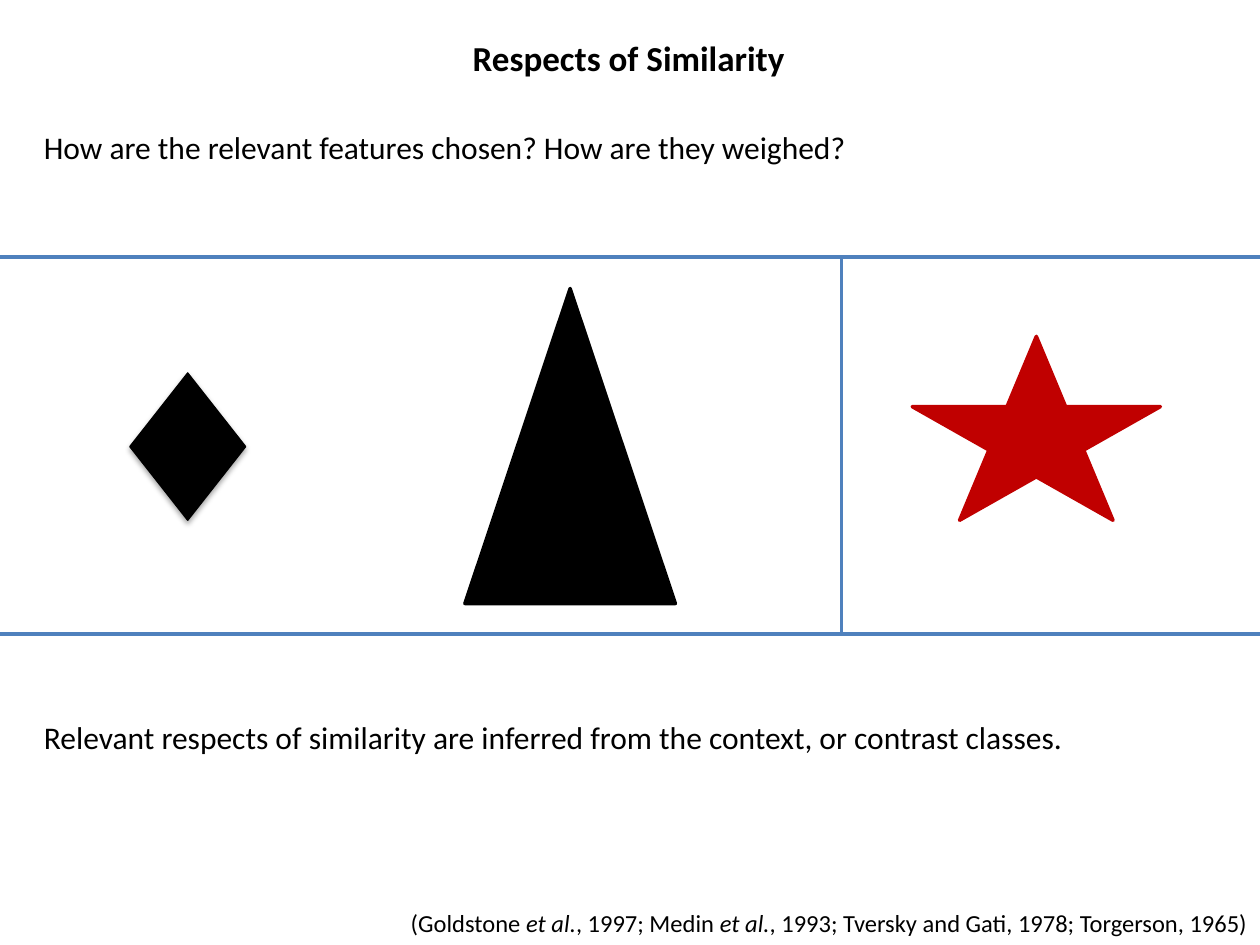
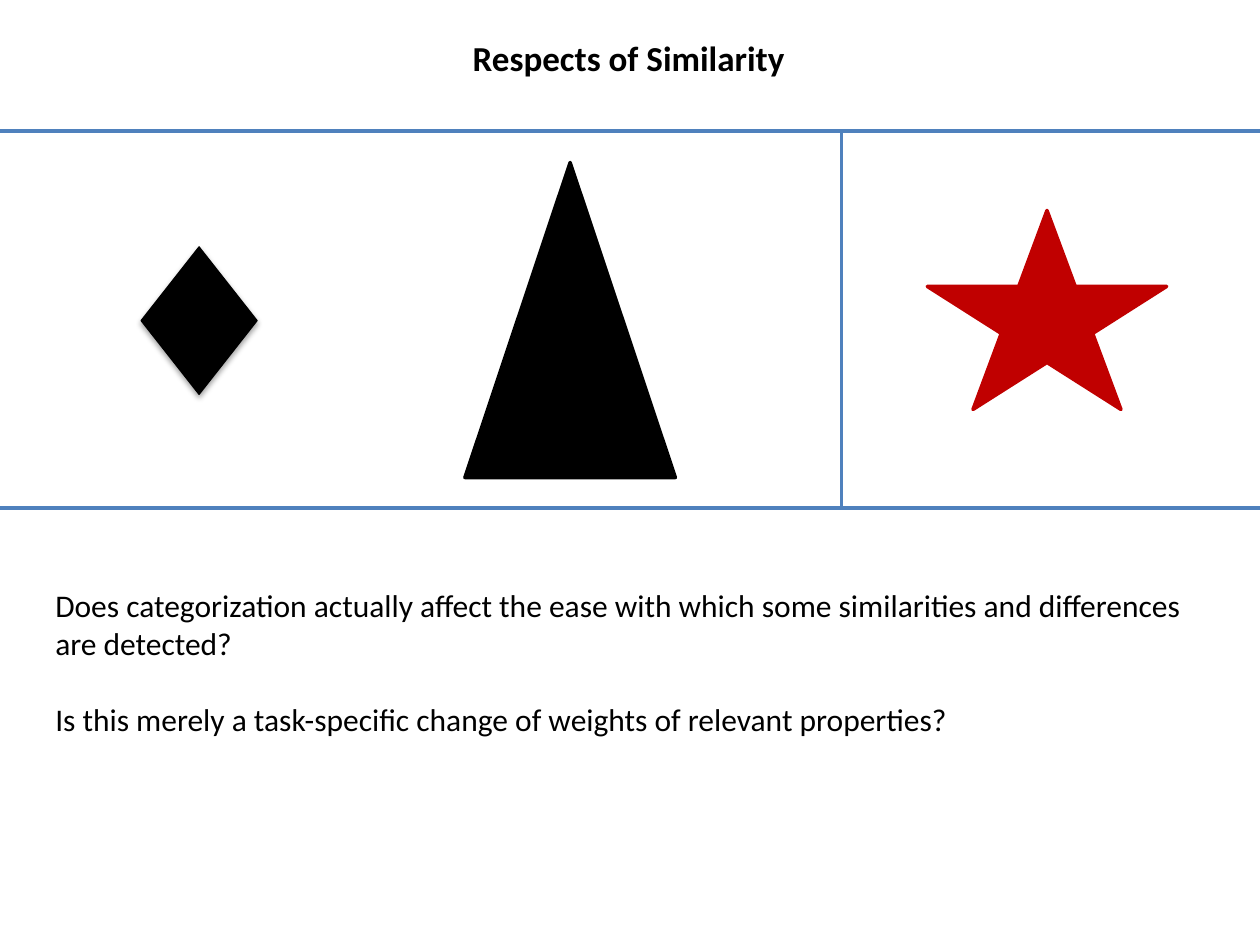
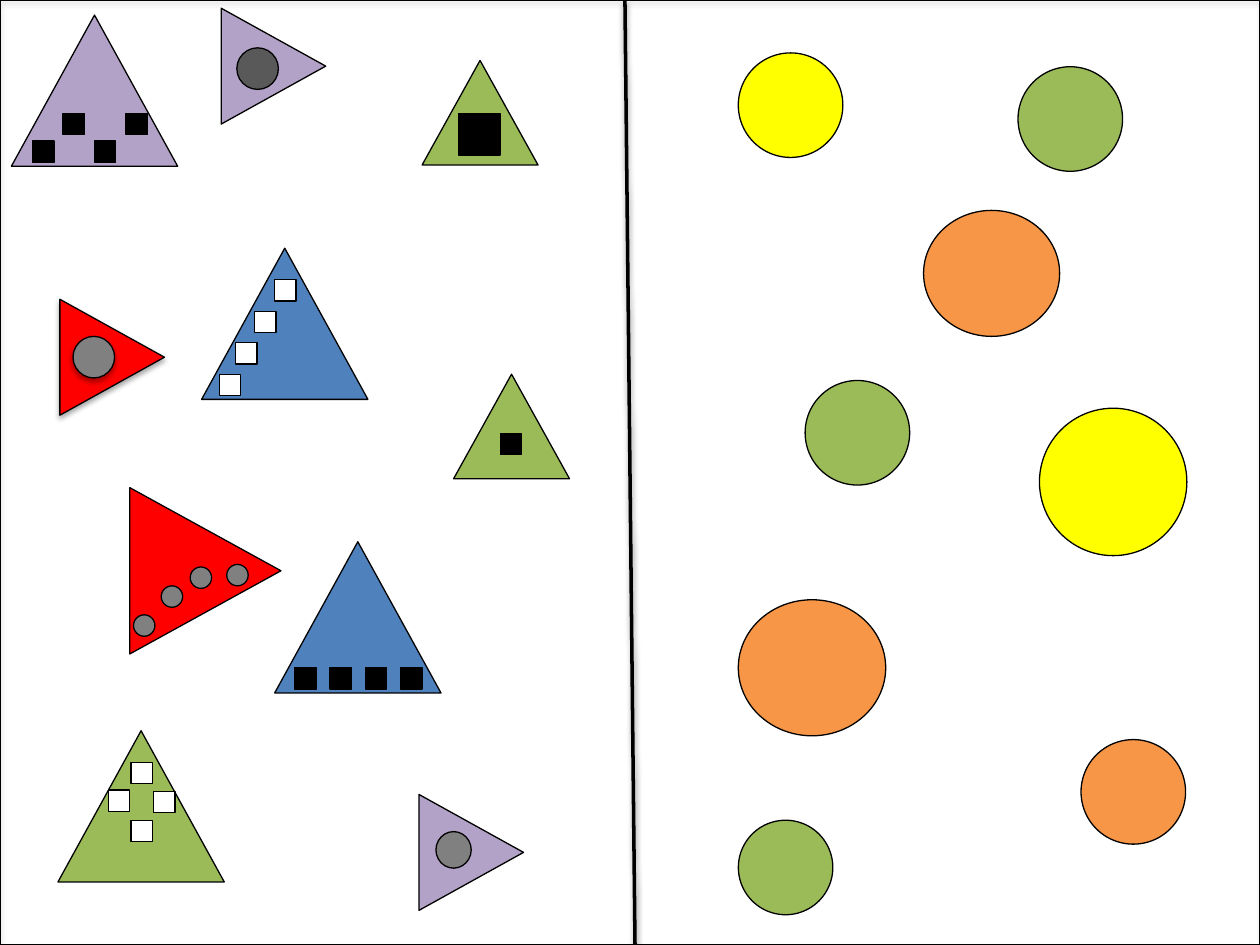
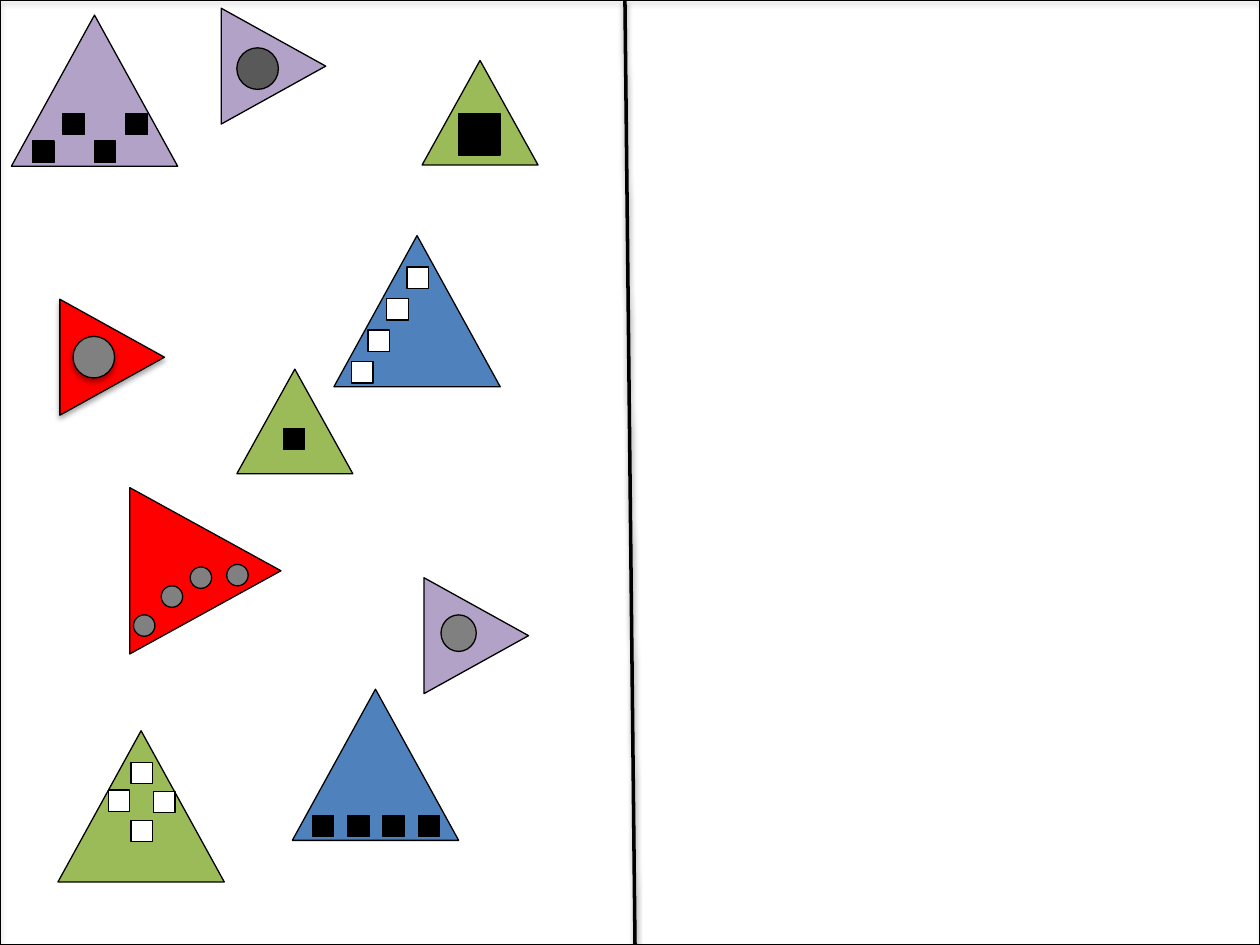
from typing import NamedTuple

from lxml import etree
from pptx import Presentation
from pptx.dml.color import RGBColor
from pptx.enum.shapes import MSO_CONNECTOR, MSO_SHAPE
from pptx.enum.text import MSO_AUTO_SIZE, PP_ALIGN
from pptx.oxml.ns import qn
from pptx.util import Emu, Pt

PX = 9144
WIDTH, HEIGHT = 1000, 750
FONT = "Calibri"
BODY_SIZE, TITLE_SIZE, CITE_SIZE = 18, 20, 14
THIN, THICK = 0.75, 2

STRAIGHT = MSO_CONNECTOR.STRAIGHT
TRIANGLE, DIAMOND, STAR = MSO_SHAPE.ISOSCELES_TRIANGLE, MSO_SHAPE.DIAMOND, MSO_SHAPE.STAR_5_POINT
OVAL, RECT = MSO_SHAPE.OVAL, MSO_SHAPE.RECTANGLE
LEFT, CENTER, RIGHT = PP_ALIGN.LEFT, PP_ALIGN.CENTER, PP_ALIGN.RIGHT
FIT_TEXT, FIXED = MSO_AUTO_SIZE.SHAPE_TO_FIT_TEXT, MSO_AUTO_SIZE.NONE

COLORS = {
    "black": "000000", "white": "FFFFFF", "crimson": "C00000", "red": "FF0000",
    "blue": "4F81BD", "green": "9BBB59", "purple": "B3A2C7", "orange": "F79646",
    "yellow": "FFFF00", "gray": "808080", "charcoal": "595959",
}


class Box(NamedTuple):
    """Left, top, width and height in px."""
    x: int
    y: int
    w: int
    h: int


class Shadow(NamedTuple):
    """Downward shadow: blur and distance in EMU, opacity in percent."""
    blur: int
    dist: int
    opacity: int


class Figure(NamedTuple):
    """Triangle carrying equal marks at offsets from its frame."""
    color: str
    size: tuple[int, int]
    mark: int
    mark_color: str
    mark_size: tuple[int, int]
    offsets: list[tuple[int, int]]
    rotation: int = 0
    shadow: Shadow | None = None


class Disc(NamedTuple):
    """Circle of the contrast category."""
    color: str
    box: Box


SHAPE_SHADOW = Shadow(40000, 23000, 35)
LINE_SHADOW = Shadow(40000, 20000, 38)
BIG, SMALL = (132, 120), (92, 83)
DOT, MEDIUM, LARGE = (17, 17), (28, 29), (33, 33)

FIGURES = {
    "purple squares": Figure("purple", BIG, RECT, "black", DOT,
                             [(41, 78), (66, 100), (17, 100), (91, 78)]),
    "purple charcoal disc": Figure("purple", SMALL, OVAL, "charcoal", LARGE, [(17, 27)], 90),
    "purple gray disc": Figure("purple", SMALL, OVAL, "gray", MEDIUM, [(18, 25)], 90),
    "green large square": Figure("green", SMALL, RECT, "black", LARGE, [(29, 42)]),
    "green small square": Figure("green", SMALL, RECT, "black", DOT, [(37, 47)]),
    "green cross": Figure("green", BIG, RECT, "white", DOT,
                          [(58, 25), (40, 47), (58, 71), (76, 48)]),
    "blue slope": Figure("blue", BIG, RECT, "white", DOT,
                         [(58, 25), (42, 50), (27, 75), (14, 100)]),
    "blue row": Figure("blue", BIG, RECT, "black", DOT,
                       [(16 + 28 * i, 100) for i in range(4)]),
    "red dots": Figure("red", BIG, OVAL, "gray", DOT,
                       [(54, 57), (9, 95), (83, 55), (31, 72)], 90),
    "red disc": Figure("red", SMALL, OVAL, "gray", LARGE, [(15, 25)], 90, SHAPE_SHADOW),
}

FIRST_LAYOUT = {
    "purple gray disc": (328, 635),
    "purple squares": (9, 12),
    "red dots": (97, 393),
    "blue slope": (160, 197),
    "green large square": (335, 48),
    "green small square": (360, 297),
    "purple charcoal disc": (171, 11),
    "blue row": (218, 430),
    "green cross": (46, 580),
    "red disc": (43, 242),
}
SECOND_LAYOUT = FIRST_LAYOUT | {
    "purple gray disc": (332, 463),
    "blue slope": (265, 187),
    "green small square": (188, 293),
    "blue row": (232, 547),
}

DISCS = [
    Disc("yellow", Box(586, 42, 83, 83)),
    Disc("orange", Box(858, 587, 83, 83)),
    Disc("orange", Box(586, 476, 117, 108)),
    Disc("orange", Box(733, 167, 108, 100)),
    Disc("green", Box(586, 651, 75, 75)),
    Disc("yellow", Box(825, 324, 117, 117)),
    Disc("green", Box(639, 302, 83, 83)),
    Disc("green", Box(808, 53, 83, 83)),
]


def px(*lengths: int) -> list[Emu]:
    """Turn px into EMU."""
    return [Emu(n * PX) for n in lengths]


def rgb(name: str) -> RGBColor:
    """Look up a named colour."""
    return RGBColor.from_string(COLORS[name])


def set_effects(sp, shadow: Shadow | None) -> None:
    """Replace the theme shadow by the given one or by none."""
    props = sp._element.spPr
    effects = props.find(qn("a:effectLst"))
    if effects is None:
        effects = etree.SubElement(props, qn("a:effectLst"))
    if shadow:
        outer = etree.SubElement(effects, qn("a:outerShdw"), blurRad=str(shadow.blur),
                                 dist=str(shadow.dist), dir="5400000", rotWithShape="0")
        clr = etree.SubElement(outer, qn("a:srgbClr"), val=COLORS["black"])
        etree.SubElement(clr, qn("a:alpha"), val=str(shadow.opacity * 1000))


def draw_shape(shapes, kind: int, box: Box, fill: str | None, line: str = "black",
               weight: float = THIN, rotation: int = 0, shadow: Shadow | None = None) -> None:
    """Draw an outlined preset shape."""
    sp = shapes.add_shape(kind, *px(*box))
    sp.rotation = rotation
    if fill:
        sp.fill.solid()
        sp.fill.fore_color.rgb = rgb(fill)
    else:
        sp.fill.background()
    sp.line.color.rgb = rgb(line)
    sp.line.width = Pt(weight)
    sp.shadow.inherit = False
    set_effects(sp, shadow)


def draw_line(shapes, start: tuple[int, int], end: tuple[int, int], color: str,
              shadow: Shadow | None = None) -> None:
    """Draw a thick straight line."""
    cxn = shapes.add_connector(STRAIGHT, *px(*start, *end))
    cxn.line.color.rgb = rgb(color)
    cxn.line.width = Pt(THICK)
    set_effects(cxn, shadow)


def draw_text(shapes, box: Box, paragraphs: list[str], size: int = BODY_SIZE, bold: bool = False,
              align: int = LEFT, wrap: bool = False, spacing: float = 1.0,
              fill: str | None = None) -> None:
    """Write paragraphs, with the parts between asterisks in italics."""
    sp = shapes.add_textbox(*px(*box))
    if fill:
        sp.fill.solid()
        sp.fill.fore_color.rgb = rgb(fill)
    tf = sp.text_frame
    tf.word_wrap = wrap
    tf.auto_size = FIXED if wrap else FIT_TEXT
    for i, text in enumerate(paragraphs):
        p = tf.add_paragraph() if i else tf.paragraphs[0]
        p.alignment = align
        p.line_spacing = spacing
        if i:
            p.space_before = Pt(22)
        for j, part in enumerate(text.split("*")):
            r = p.add_run()
            r.text = part
            r.font.name = FONT
            r.font.size = Pt(size)
            r.font.bold = bold
            r.font.italic = j % 2 == 1
            r.font.color.rgb = rgb("black")


def draw_title(shapes) -> None:
    """Write the shared slide title."""
    draw_text(shapes, Box(364, 24, 270, 44), ["Respects of Similarity"], TITLE_SIZE, True, CENTER)


def draw_band(shapes, top: int, diamond_x: int, star: Box) -> None:
    """Draw the ruled band that sets two black shapes against a star."""
    bottom, divider = top + 299, 668
    draw_shape(shapes, TRIANGLE, Box(369, top + 25, 167, 250), "black", weight=THICK)
    draw_shape(shapes, STAR, star, "crimson", "crimson", THICK)
    draw_shape(shapes, DIAMOND, Box(diamond_x, top + 92, 92, 117), "black", shadow=SHAPE_SHADOW)
    for y in (top, bottom):
        draw_line(shapes, (0, y), (WIDTH, y), "blue")
    draw_line(shapes, (divider, bottom), (divider, top), "blue")


def draw_figure(shapes, figure: Figure, x: int, y: int) -> None:
    """Draw a triangle and its marks."""
    draw_shape(shapes, TRIANGLE, Box(x, y, *figure.size), figure.color,
               rotation=figure.rotation, shadow=figure.shadow)
    for dx, dy in figure.offsets:
        draw_shape(shapes, figure.mark, Box(x + dx, y + dy, *figure.mark_size),
                   figure.mark_color, shadow=figure.shadow)


def draw_categories(shapes, layout: dict[str, tuple[int, int]], discs: list[Disc],
                    grouped: bool) -> None:
    """Draw the framed slide with triangles on the left and discs on the right."""
    for disc in discs:
        draw_shape(shapes, OVAL, disc.box, disc.color)
    draw_line(shapes, (496, 0), (504, HEIGHT), "black", LINE_SHADOW)
    for name, (x, y) in layout.items():
        target = shapes.add_group_shape().shapes if grouped else shapes
        draw_figure(target, FIGURES[name], x, y)
    draw_shape(shapes, RECT, Box(0, 0, WIDTH, HEIGHT), None, shadow=SHAPE_SHADOW)


def build_context(shapes) -> None:
    """Build the slide on how features are chosen."""
    draw_text(shapes, Box(25, 97, 667, 40),
              ["How are the relevant features chosen? How are they weighed?"])
    draw_band(shapes, 204, 103, Box(724, 267, 197, 146))
    draw_text(shapes, Box(25, 559, 975, 45),
              ["Relevant respects of similarity are inferred from the context, or contrast classes."],
              wrap=True, spacing=1.2)
    draw_text(shapes, Box(306, 716, 694, 34),
              ["(Goldstone* et al.*, 1997; Medin* et al.*, 1993; Tversky and Gati, 1978; "
               "Torgerson, 1965)"], CITE_SIZE, align=RIGHT, fill="white")
    draw_title(shapes)


def build_question(shapes) -> None:
    """Build the slide on the effect of categorization."""
    draw_text(shapes, Box(34, 460, 929, 162),
              ["Does categorization actually affect the ease with which some similarities "
               "and differences are detected?",
               "Is this merely a task-specific change of weights of relevant properties?"],
              wrap=True)
    draw_band(shapes, 104, 112, Box(736, 167, 190, 158))
    draw_title(shapes)


def main() -> None:
    """Build and save the presentation."""
    prs = Presentation()
    prs.slide_width, prs.slide_height = px(WIDTH, HEIGHT)
    blank = prs.slide_layouts[6]
    context, question, both, triangles = (prs.slides.add_slide(blank).shapes for _ in range(4))
    build_context(context)
    build_question(question)
    draw_categories(both, FIRST_LAYOUT, DISCS, grouped=False)
    draw_categories(triangles, SECOND_LAYOUT, [], grouped=True)
    prs.save("out.pptx")


if __name__ == "__main__":
    main()
